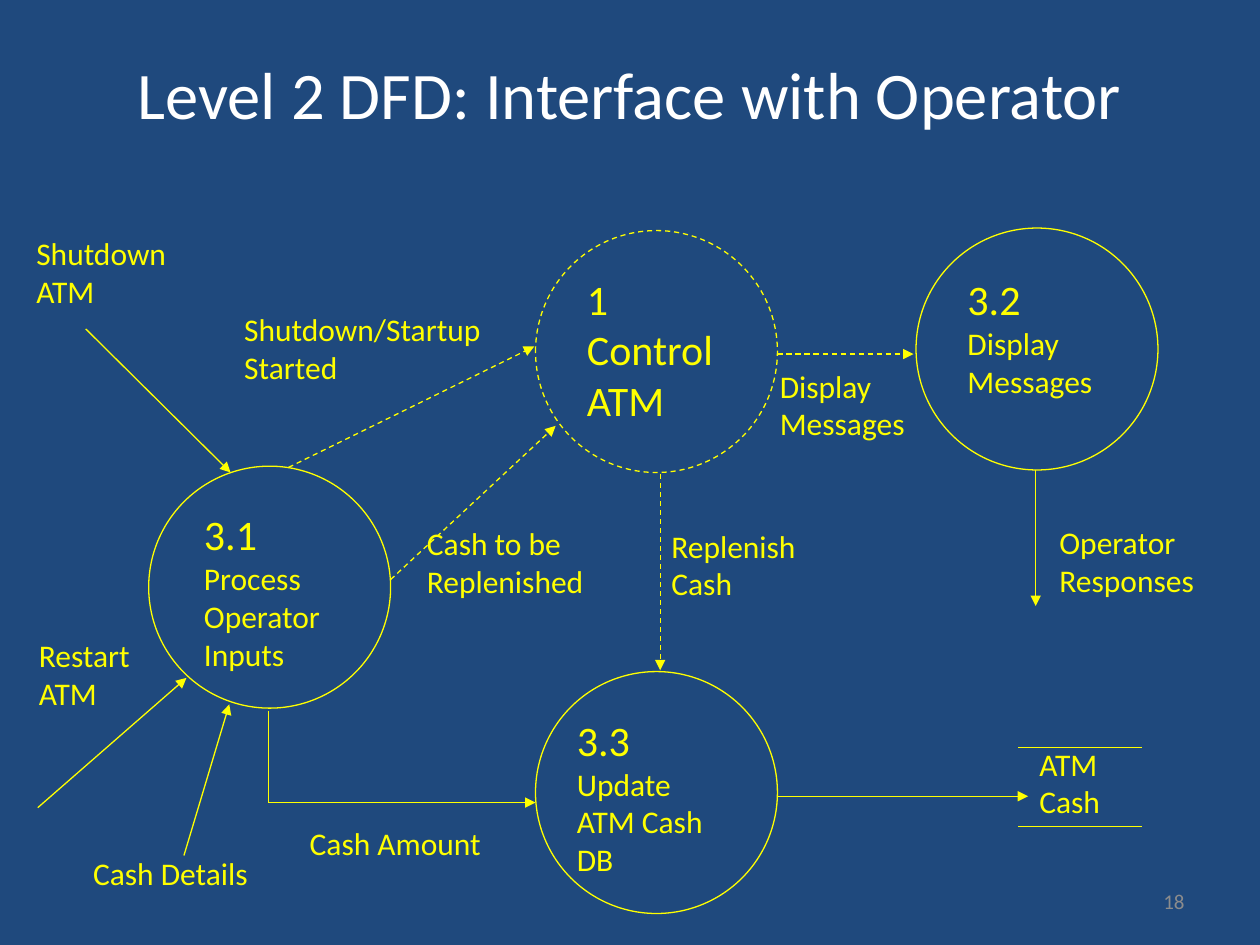
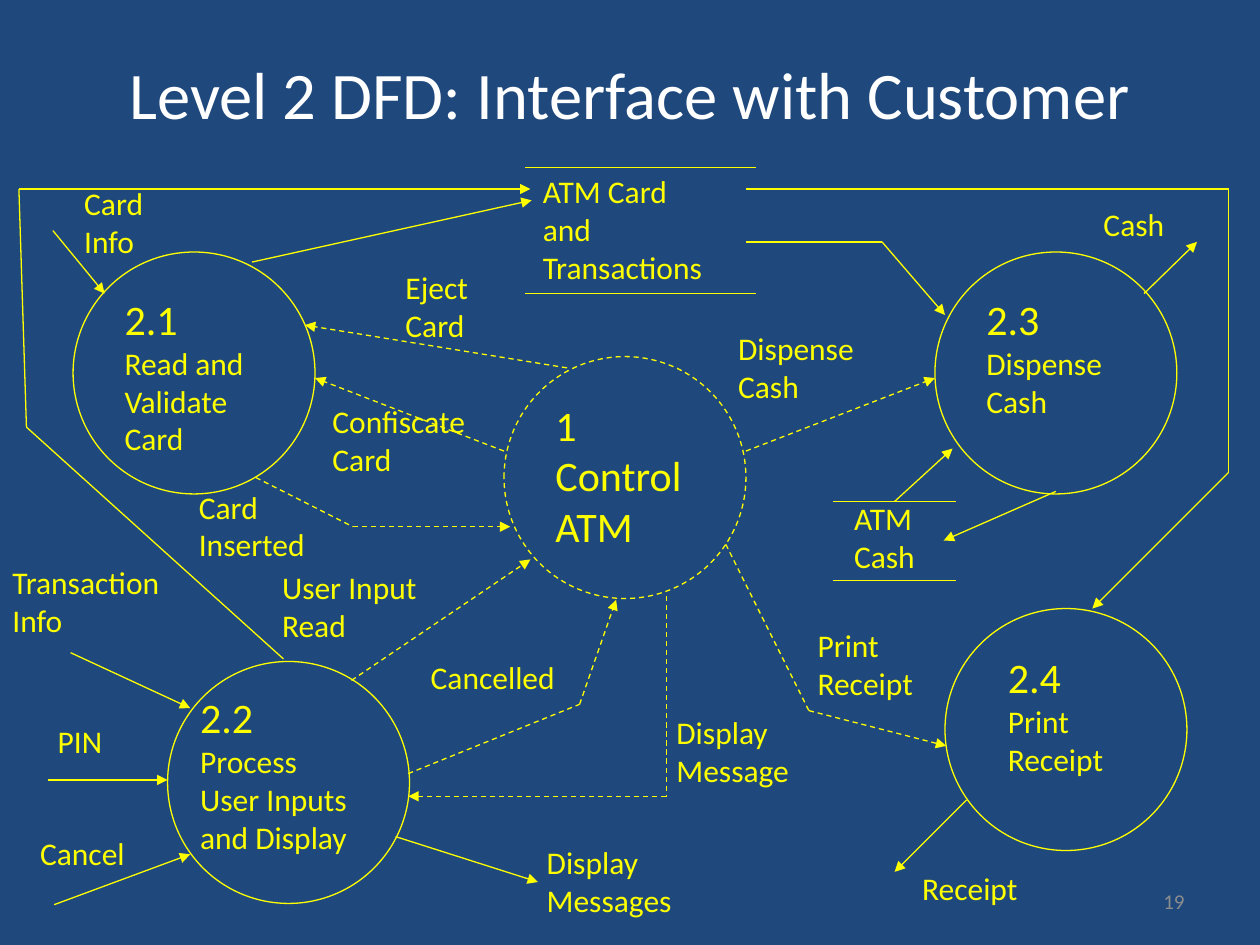
from dataclasses import dataclass
from itertools import pairwise

from lxml import etree
from pptx import Presentation
from pptx import util as u
from pptx.dml.color import RGBColor
from pptx.enum import dml, shapes, text
from pptx.oxml import ns

COLORS = {"background": "1F497D", "title": "FFFFFF", "diagram": "FFFF00", "number": "8C8C8C"}
FONT = "Calibri"
CIRCLE_SIZE = 1.92
LINE_WIDTH = u.Pt(0.75)
LARGE, SMALL = 24, 18


@dataclass(frozen=True)
class Label:
    left: float
    top: float
    width: float
    lines: tuple[str, ...]
    first_size: int = SMALL
    size: int = SMALL


@dataclass(frozen=True)
class Process:
    left: float
    top: float
    label: Label
    dashed: bool = False


@dataclass(frozen=True)
class Store:
    left: float
    top: float
    width: float
    depth: float
    label: Label


@dataclass(frozen=True)
class Flow:
    points: tuple[tuple[float, float], ...]
    dashed: bool = False


@dataclass(frozen=True)
class Diagram:
    title: str
    number: int
    processes: tuple[Process, ...]
    stores: tuple[Store, ...]
    flows: tuple[Flow, ...]
    labels: tuple[Label, ...]


def process(left: float, top: float, label_left: float, label_top: float,
            width: float, *lines: str) -> Process:
    return Process(left, top, Label(label_left, label_top, width, lines, LARGE))


def control(left: float, top: float) -> Process:
    label = Label(left + 0.31, top + 0.29, 1.22, ("1", "Control", "ATM"), LARGE, LARGE)
    return Process(left, top, label, True)


def cash_store(left: float, top: float) -> Store:
    return Store(left, top, 0.98, 0.63, Label(left + 0.07, top - 0.07, 0.82, ("ATM", "Cash")))


def label(left: float, top: float, width: float, *lines: str) -> Label:
    return Label(left, top, width, lines)


def solid(*points: tuple[float, float]) -> Flow:
    return Flow(points)


def dashed(*points: tuple[float, float]) -> Flow:
    return Flow(points, True)


def color(name: str) -> RGBColor:
    return RGBColor.from_string(COLORS[name])


def style_line(line, is_dashed: bool) -> None:
    line.color.rgb = color("diagram")
    line.width = LINE_WIDTH
    if is_dashed:
        line.dash_style = dml.MSO_LINE.DASH


def add_run(paragraph, words: str, size: int, color_name: str) -> None:
    run = paragraph.add_run()
    run.text = words
    run.font.name = FONT
    run.font.size = u.Pt(size)
    run.font.color.rgb = color(color_name)


def draw_heading(slide, box: tuple[float, ...], words: str, size: int,
                 color_name: str, alignment) -> None:
    frame = slide.shapes.add_textbox(*map(u.Inches, box)).text_frame
    frame.word_wrap = True
    frame.vertical_anchor = text.MSO_ANCHOR.MIDDLE
    paragraph = frame.paragraphs[0]
    paragraph.alignment = alignment
    add_run(paragraph, words, size, color_name)


def draw_label(slide, item: Label) -> None:
    sizes = [item.first_size] + [item.size] * (len(item.lines) - 1)
    height = 0.1 + sum(sizes) * 1.33 / 72
    box = (item.left, item.top, item.width, height)
    frame = slide.shapes.add_textbox(*map(u.Inches, box)).text_frame
    frame.word_wrap = False
    frame.auto_size = text.MSO_AUTO_SIZE.SHAPE_TO_FIT_TEXT
    for index, (words, size) in enumerate(zip(item.lines, sizes)):
        paragraph = frame.add_paragraph() if index else frame.paragraphs[0]
        add_run(paragraph, words, size, "diagram")


def draw_process(slide, item: Process) -> None:
    box = (item.left, item.top, CIRCLE_SIZE, CIRCLE_SIZE)
    circle = slide.shapes.add_shape(shapes.MSO_SHAPE.OVAL, *map(u.Inches, box))
    circle.shadow.inherit = False
    circle.fill.background()
    style_line(circle.line, item.dashed)
    draw_label(slide, item.label)


def draw_line(slide, start: tuple[float, float], end: tuple[float, float],
              is_dashed: bool = False, arrow: bool = False) -> None:
    connector = slide.shapes.add_connector(
        shapes.MSO_CONNECTOR.STRAIGHT, *map(u.Inches, start + end))
    style_line(connector.line, is_dashed)
    properties = connector._element.spPr
    if arrow:
        tail = etree.SubElement(properties.find(ns.qn("a:ln")), ns.qn("a:tailEnd"))
        tail.set("type", "triangle")
    etree.SubElement(properties, ns.qn("a:effectLst"))


def draw_store(slide, item: Store) -> None:
    for y in (item.top, item.top + item.depth):
        draw_line(slide, (item.left, y), (item.left + item.width, y))
    draw_label(slide, item.label)


def draw_flow(slide, item: Flow) -> None:
    for start, end in pairwise(item.points):
        draw_line(slide, start, end, item.dashed, end == item.points[-1])


def draw_diagram(presentation, diagram: Diagram) -> None:
    slide = presentation.slides.add_slide(presentation.slide_layouts[6])
    slide.background.fill.solid()
    slide.background.fill.fore_color.rgb = color("background")
    draw_heading(slide, (0.75, 0.11, 8.5, 1.25), diagram.title, 38, "title",
                 text.PP_ALIGN.CENTER)
    draw_heading(slide, (7.17, 6.95, 2.33, 0.4), str(diagram.number), 12, "number",
                 text.PP_ALIGN.RIGHT)
    for item in diagram.processes:
        draw_process(slide, item)
    for item in diagram.stores:
        draw_store(slide, item)
    for item in diagram.flows:
        draw_flow(slide, item)
    for item in diagram.labels:
        draw_label(slide, item)


OPERATOR = Diagram(
    "Level 2 DFD: Interface with Operator", 18,
    processes=(
        control(4.25, 1.83),
        process(1.18, 3.7, 1.52, 3.99, 1.19, "3.1", "Process", "Operator", "Inputs"),
        process(7.27, 1.81, 7.58, 2.12, 1.28, "3.2", "Display", "Messages"),
        process(4.25, 5.33, 4.48, 5.62, 1.44, "3.3", "Update", "ATM Cash", "DB"),
    ),
    stores=(cash_store(8.08, 5.93),),
    flows=(
        solid((0.68, 2.61), (1.83, 3.75)),
        solid((0.3, 6.41), (1.48, 5.38)),
        solid((1.46, 6.79), (1.82, 5.59)),
        solid((2.13, 5.64), (2.13, 6.37), (4.25, 6.37)),
        solid((8.22, 3.73), (8.22, 4.81)),
        solid((6.17, 6.32), (8.16, 6.32)),
        dashed((2.29, 3.71), (4.24, 2.75)),
        dashed((3.1, 4.6), (4.41, 3.38)),
        dashed((6.17, 2.81), (7.25, 2.81)),
        dashed((5.24, 3.76), (5.24, 5.32)),
    ),
    labels=(
        label(0.19, 1.81, 1.33, "Shutdown", "ATM"),
        label(0.21, 5, 0.99, "Restart", "ATM"),
        label(0.64, 6.73, 1.61, "Cash Details"),
        label(2.36, 6.49, 1.74, "Cash Amount"),
        label(1.84, 2.41, 2.2, "Shutdown/Startup", "Started"),
        label(3.29, 4.11, 1.57, "Cash to be", "Replenished"),
        label(5.23, 4.13, 1.31, "Replenish", "Cash"),
        label(6.09, 2.86, 1.28, "Display", "Messages"),
        label(8.31, 4.1, 1.37, "Operator", "Responses"),
    ),
)

CUSTOMER = Diagram(
    "Level 2 DFD: Interface with Customer", 19,
    processes=(
        control(4, 2.83),
        process(0.58, 2, 0.89, 2.28, 1.24, "2.1", "Read and", "Validate", "Card"),
        process(1.33, 5.25, 1.49, 5.44, 1.53, "2.2", "Process", "User Inputs", "and Display"),
        process(7.42, 2, 7.73, 2.28, 1.22, "2.3", "Dispense", "Cash"),
        process(7.5, 4.83, 7.9, 5.12, 1.05, "2.4", "Print", "Receipt"),
    ),
    stores=(
        Store(4.17, 1.33, 1.83, 1, label(4.21, 1.32, 1.62, "ATM Card", "and", "Transactions")),
        cash_store(6.61, 3.98),
    ),
    flows=(
        solid((0.42, 1.83), (0.83, 2.33)),
        solid((2, 2.08), (4.22, 1.59)),
        solid((5.92, 1.92), (7, 1.92), (7.5, 2.5)),
        solid((9.08, 2.33), (9.5, 1.92)),
        solid((5.92, 1.5), (9.75, 1.5), (9.75, 3.75), (8.67, 4.83)),
        solid((2.25, 5.23), (0.21, 3.39), (0.15, 1.5), (4.21, 1.5)),
        solid((7.67, 6.35), (7.1, 6.92)),
        solid((0.56, 5.18), (1.51, 5.62)),
        solid((0.38, 6.19), (1.33, 6.19)),
        solid((0.43, 7.18), (1.51, 6.78)),
        solid((3.14, 6.64), (4.27, 7)),
        solid((7.1, 3.98), (7.56, 3.56)),
        solid((8.38, 3.9), (7.49, 4.29)),
        dashed((4.5, 2.92), (2.42, 2.58)),
        dashed((4, 3.58), (2.5, 3)),
        dashed((5.92, 3.58), (7.42, 3)),
        dashed((5.76, 4.32), (6.42, 5.64), (7.51, 5.92)),
        dashed((2.79, 5.4), (4.21, 4.44)),
        dashed((3.24, 6.14), (4.6, 5.59), (4.89, 4.76)),
        dashed((5.29, 4.73), (5.29, 6.32), (3.24, 6.32)),
        dashed((2.03, 3.79), (2.8, 4.18), (4.05, 4.18)),
    ),
    labels=(
        label(0.57, 1.41, 0.74, "Card", "Info"),
        label(0, 4.42, 1.51, "Transaction", "Info"),
        label(0.36, 5.68, 0.65, "PIN"),
        label(0.22, 6.57, 0.97, "Cancel"),
        label(4.24, 6.64, 1.28, "Display", "Messages"),
        label(1.48, 3.82, 1.09, "Card", "Inserted"),
        label(3.12, 2.08, 0.77, "Eject", "Card"),
        label(2.54, 3.14, 1.39, "Confiscate", "Card"),
        label(2.14, 4.46, 1.38, "User Input", "Read"),
        label(3.32, 5.17, 1.31, "Cancelled"),
        label(5.27, 5.61, 1.17, "Display", "Message"),
        label(5.76, 2.56, 1.22, "Dispense", "Cash"),
        label(6.39, 4.92, 1.05, "Print", "Receipt"),
        label(8.66, 1.58, 0.76, "Cash"),
        label(7.22, 6.85, 1.05, "Receipt"),
    ),
)


def main() -> None:
    presentation = Presentation()
    presentation.slide_width = u.Inches(10)
    presentation.slide_height = u.Inches(7.5)
    for diagram in (OPERATOR, CUSTOMER):
        draw_diagram(presentation, diagram)
    presentation.save("out.pptx")


if __name__ == "__main__":
    main()
